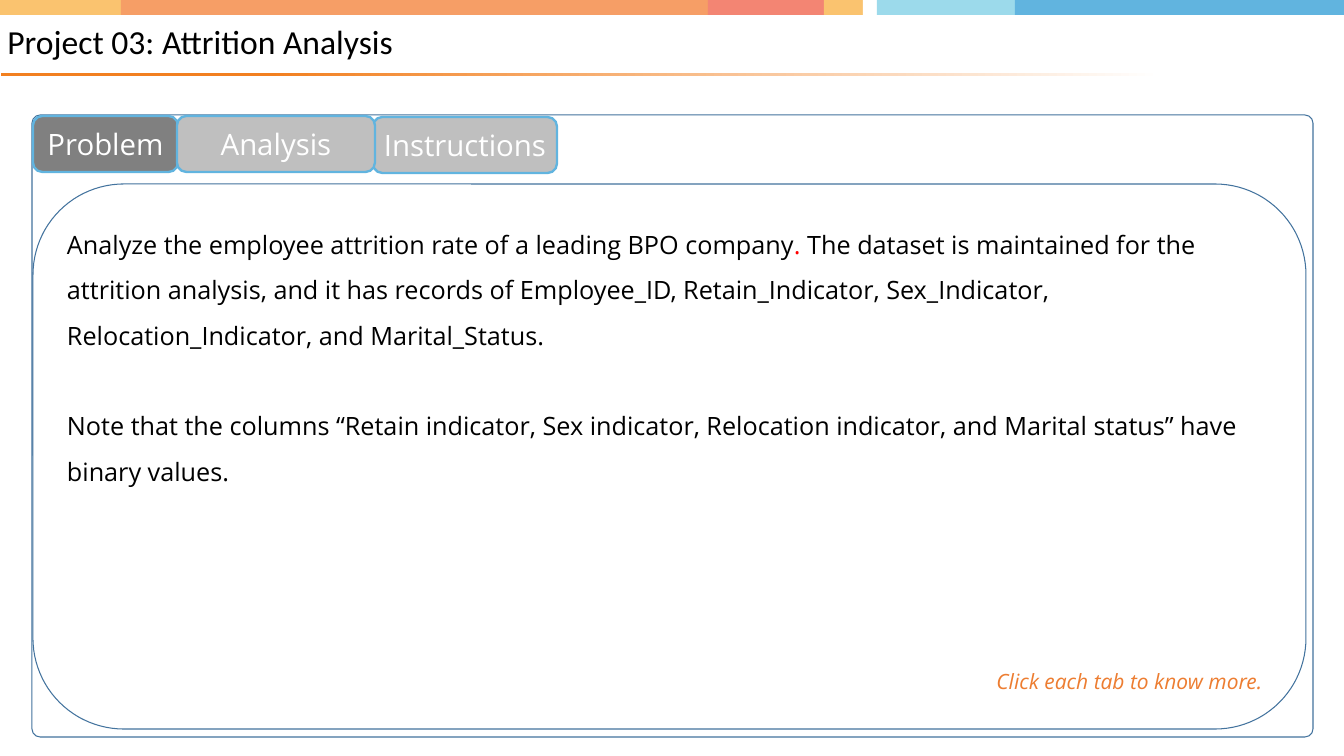
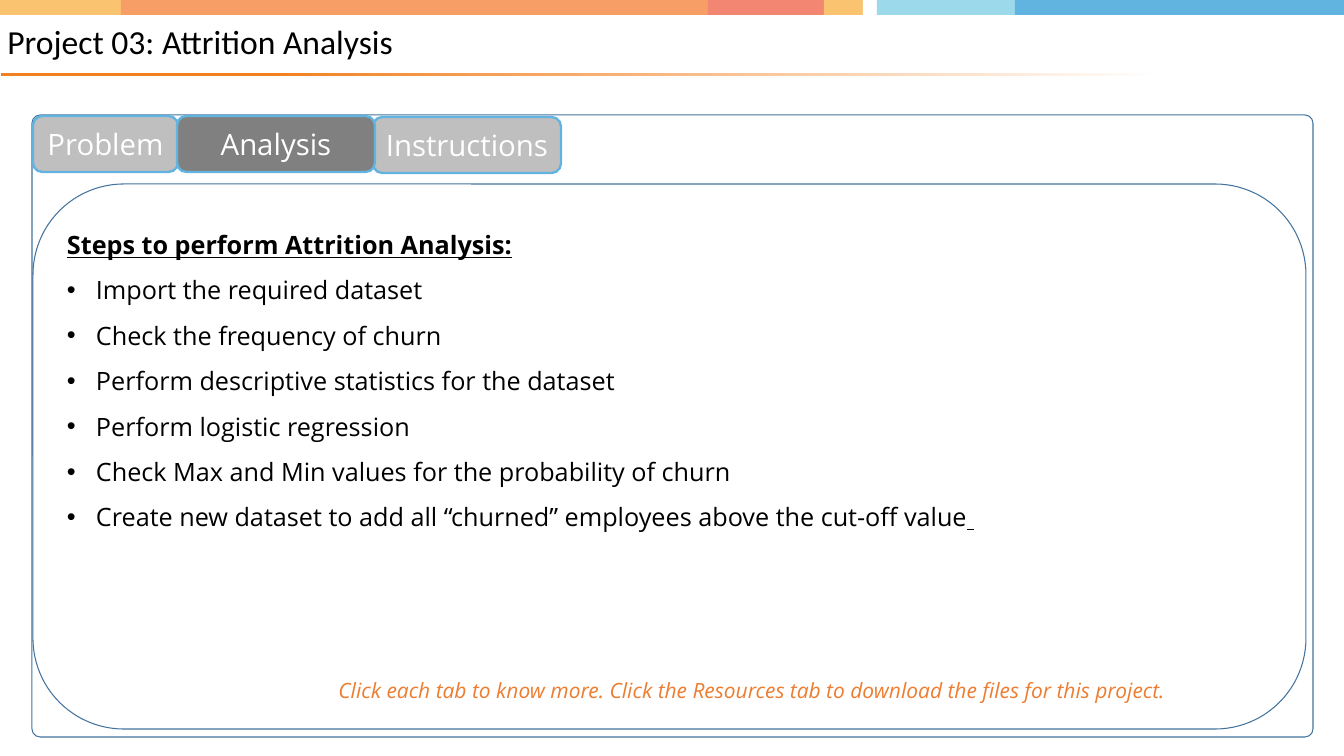
import pptx
import pptx.util
import pptx.dml.color
import pptx.enum.shapes
import pptx.enum.text
import lxml.etree

COLORS = {
    "gold": "FAC36F", "orange": "F69E66", "coral": "F38573", "white": "FFFFFF",
    "aqua": "9CDAEB", "sky": "61B4DF", "rule": "F28020", "frame": "43739E",
    "tab": "BFBFBF", "active": "808080", "hint": "ED7D31", "black": "000000",
    "red": "FF0000",
}
TITLE = "Project 03: Attrition Analysis"
BAND_EDGES = [0, 121, 708, 824, 863, 877, 1015, 1344]
BAND_COLORS = ["gold", "orange", "coral", "gold", "white", "aqua", "sky"]
TABS = {
    "Problem": (33, 116, 145, 56),
    "Analysis": (177, 116, 198, 56),
    "Instructions": (373, 117, 184, 56),
}
HEADING = {"bold": True, "underline": True}
STEPS = [
    [("Import the required dataset", {})],
    [("Check the frequency of churn", {})],
    [("Perform descriptive statistics for the dataset", {})],
    [("Perform logistic regression", {})],
    [("Check Max and Min values for the probability of churn", {})],
    [("Create new dataset to add all “churned” employees above the cut-off value", {}),
     (" ", HEADING)],
]
PAGES = [
    {
        "active": "Problem",
        "instructions_width": 184,
        "intro": [
            [("Analyze the employee attrition rate of a leading BPO company", {}),
             (". ", {"color": "red"}),
             ("The dataset is maintained for the attrition analysis, and it has records of "
              "Employee_ID, Retain_Indicator, Sex_Indicator, Relocation_Indicator, "
              "and Marital_Status.", {})],
            [("Note that the columns “Retain indicator, Sex indicator, Relocation indicator, "
              "and Marital status” have binary values.", {})],
        ],
        "gap": 43,
        "steps": [],
        "hint": "Click each tab to know more.",
        "hint_place": (989, 665, 318, 33),
    },
    {
        "active": "Analysis",
        "instructions_width": 188,
        "intro": [[("Steps to perform Attrition Analysis:", HEADING)]],
        "gap": 0,
        "steps": STEPS,
        "hint": "Click each tab to know more. Click the Resources tab to download "
                "the files for this project.",
        "hint_place": (331, 674, 916, 33),
    },
]

SHAPES = pptx.enum.shapes.MSO_SHAPE
ANCHOR = pptx.enum.text.MSO_ANCHOR
ALIGN = pptx.enum.text.PP_ALIGN


def px(value):
    return pptx.util.Emu(round(value * 914400 / 75.6))


def rgb(name):
    return pptx.dml.color.RGBColor.from_string(COLORS[name])


def add_box(page, place, kind=SHAPES.RECTANGLE, fill=None, line=None, width=1):
    box = page.shapes.add_shape(kind, *map(px, place))
    box.shadow.inherit = False
    if fill:
        box.fill.solid()
        box.fill.fore_color.rgb = rgb(fill)
    else:
        box.fill.background()
    if line:
        box.line.color.rgb = rgb(line)
        box.line.width = pptx.util.Pt(width)
    else:
        box.line.fill.background()
    return box


def write(box, runs, size=24, font="Open Sans", color="black", italic=False,
          align=ALIGN.LEFT, anchor=ANCHOR.TOP, spacing=None, after=0, bullet=False):
    frame = box.text_frame
    frame.word_wrap = True
    frame.vertical_anchor = anchor
    para = frame.add_paragraph() if frame.text else frame.paragraphs[0]
    para.alignment = align
    para.space_after = pptx.util.Pt(after)
    if spacing:
        para.line_spacing = spacing
    if bullet:
        properties = para._p.get_or_add_pPr()
        properties.set("marL", str(px(29)))
        properties.set("indent", str(-px(29)))
        namespace = "{http://schemas.openxmlformats.org/drawingml/2006/main}"
        lxml.etree.SubElement(properties, namespace + "buFont", typeface="Arial")
        lxml.etree.SubElement(properties, namespace + "buChar", char="•")
    for text, style in runs:
        span = para.add_run()
        span.text = text
        span.font.name = font
        span.font.size = pptx.util.Pt(size)
        span.font.italic = italic
        span.font.bold = style.get("bold", False)
        span.font.underline = style.get("underline", False)
        span.font.color.rgb = rgb(style.get("color", color))


def add_header(page):
    for left, right, color in zip(BAND_EDGES, BAND_EDGES[1:], BAND_COLORS):
        add_box(page, (left, -1, right - left, 16), fill=color)
    rule = add_box(page, (1, 73, 1160, 3))
    rule.fill.gradient()
    rule.fill.gradient_angle = 0
    for stop, position, color in zip(rule.fill.gradient_stops, (0.23, 1), ("rule", "white")):
        stop.position = position
        stop.color.rgb = rgb(color)


def add_title(page):
    title = page.shapes.add_textbox(*map(px, (0, 16, 1100, 55)))
    frame = title.text_frame
    frame.margin_right = frame.margin_top = frame.margin_bottom = 0
    write(title, [(TITLE, {})], size=32, font="Calibri", anchor=ANCHOR.MIDDLE, spacing=0.9)


def add_tab(page, name, content):
    left, top, width, height = TABS[name]
    if name == "Instructions":
        width = content["instructions_width"]
    fill = "active" if name == content["active"] else "tab"
    tab = add_box(page, (left, top, width, height), SHAPES.ROUNDED_RECTANGLE,
                  fill, "sky", 2.25)
    write(tab, [(name, {})], size=28, color="white", align=ALIGN.CENTER,
          anchor=ANCHOR.MIDDLE)


def add_body(page, content):
    body = add_box(page, (33, 184, 1273, 545), SHAPES.ROUNDED_RECTANGLE, line="frame")
    for number, runs in enumerate(content["intro"], 1):
        last = number == len(content["intro"])
        write(body, runs, spacing=1.5, after=0 if last else content["gap"])
    for runs in content["steps"]:
        write(body, runs, spacing=1.5, bullet=True)


deck = pptx.Presentation()
deck.slide_width, deck.slide_height = px(1344), px(756)
for content in PAGES:
    page = deck.slides.add_slide(deck.slide_layouts[6])
    add_header(page)
    add_tab(page, "Instructions", content)
    add_title(page)
    panel = add_box(page, (32, 115, 1281, 622), SHAPES.ROUNDED_RECTANGLE, line="frame")
    panel.adjustments[0] = 0.013
    add_tab(page, "Problem", content)
    add_body(page, content)
    hint = page.shapes.add_textbox(*map(px, content["hint_place"]))
    write(hint, [(content["hint"], {})], size=20, color="hint", italic=True)
    add_tab(page, "Analysis", content)
deck.save("out.pptx")
